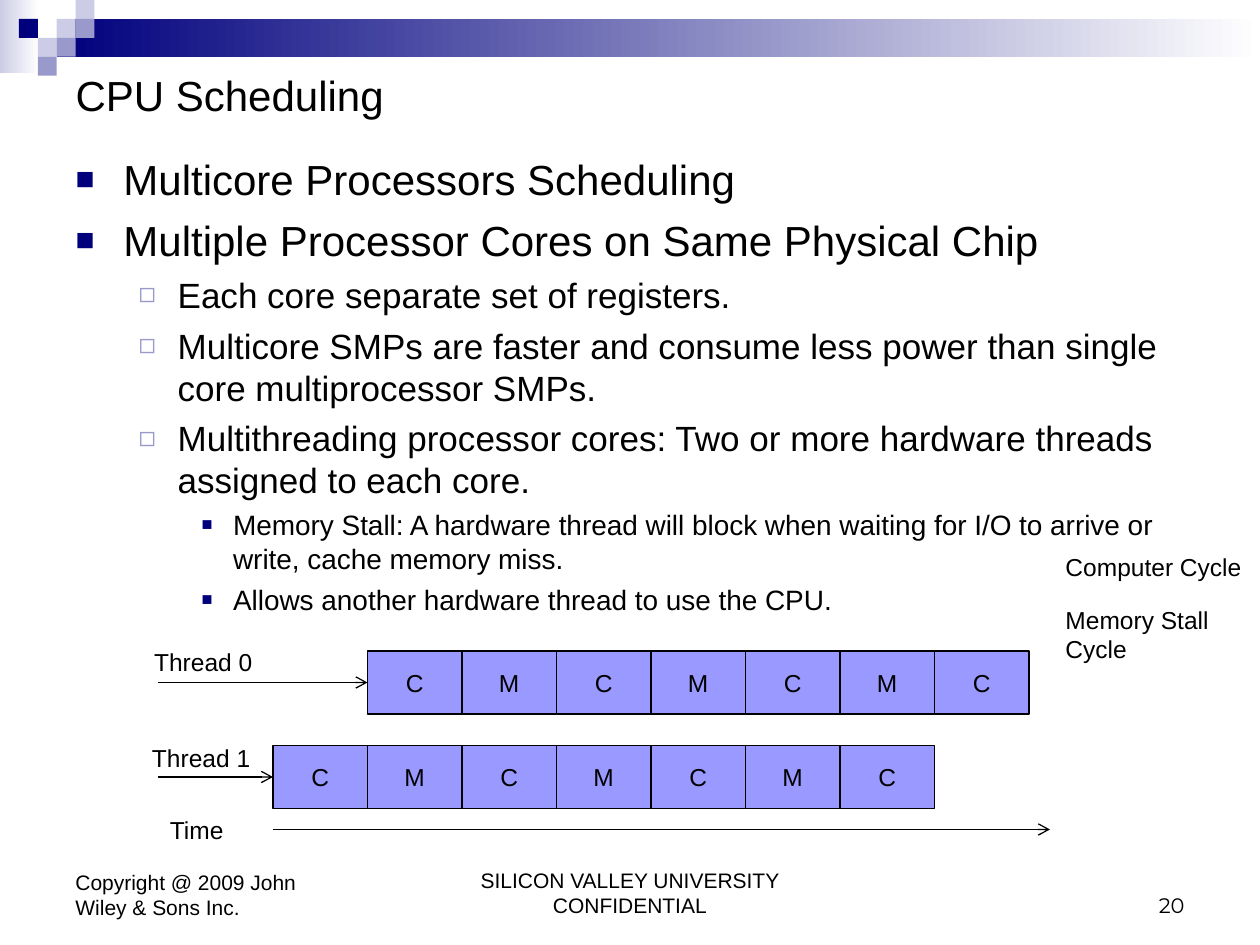
import pptx
import pptx.util
import pptx.dml.color
import pptx.enum.shapes
import pptx.enum.text
import pptx.oxml
import pptx.oxml.ns

# Content
TITLE = "CPU Scheduling"
BULLETS = [
    (0, "Multicore Processors Scheduling"),
    (0, "Multiple Processor Cores on Same Physical Chip"),
    (1, "Each core separate set of registers."),
    (1, "Multicore SMPs are faster and consume less power than single core multiprocessor SMPs."),
    (1, "Multithreading processor cores: Two or more hardware threads assigned to each core."),
    (2, "Memory Stall: A hardware thread will block when waiting for I/O to arrive or write, "
        "cache memory miss."),
    (2, "Allows another hardware thread to use the CPU."),
]
CYCLES = "CMCMCMC"
# name, label column, label row, first cell column, cell row
THREADS = [("Thread 0", 13.5, 61, 35, 62), ("Thread 1", 13.3, 70.2, 26, 71)]
LEGEND = [("Computer Cycle", 52, 4), ("Memory Stall Cycle", 57, 6)]  # text, row, rows
# text, column, row, columns, rows, alignment, font
FOOTERS = [
    ("Copyright @ 2009 John Wiley & Sons Inc.", 6, 82, 28, 6.2, "left", "Arial"),
    ("SILICON VALLEY UNIVERSITY CONFIDENTIAL", 41, 82, 38, 6, "center", "Arial"),
    ("20", 86, 82, 28, 6, "right", "Montserrat"),
]

# Theme
THEME = {
    "font": "Arial", "text": "000000", "cell": "9999FF", "navy": "00007D",
    "mid": "9999CC", "pale": "CCCCE6", "white": "FFFFFF",
    "title": 24, "label": 14, "footer": 12, "line": 0.75,
    # size, space before, left margin, indent, bullet, bullet colour, bullet percent
    "levels": [(24, 6, 0.38, 0.38, "■", "navy", 75),
               (20, 5, 0.81, 0.31, "◻", "mid", 80),
               (16, 4, 1.25, 0.25, "■", "navy", 65)],
}
ALIGN = {"left": pptx.enum.text.PP_ALIGN.LEFT, "center": pptx.enum.text.PP_ALIGN.CENTER,
         "right": pptx.enum.text.PP_ALIGN.RIGHT}
ANCHOR = {"top": pptx.enum.text.MSO_ANCHOR.TOP, "middle": pptx.enum.text.MSO_ANCHOR.MIDDLE,
          "bottom": pptx.enum.text.MSO_ANCHOR.BOTTOM}

# The slide is a grid of 120 columns by 90 rows
prs = pptx.Presentation()
prs.slide_width, prs.slide_height = pptx.util.Inches(10), pptx.util.Inches(7.5)
UNIT = prs.slide_width / 120
CELL_W, CELL_H = 9, 6
ARROW_LEFT, TIME_ROW, TIME_END = 15, 79, 100
s = prs.slides.add_slide(prs.slide_layouts[1])


def grid(*values):
    return [round(v * UNIT) for v in values]


def color(name):
    return pptx.dml.color.RGBColor.from_string(THEME[name])


def write(p, text, size, font=None, align="left"):
    p.alignment = ALIGN[align]
    r = p.add_run()
    r.text = text
    r.font.size = pptx.util.Pt(size)
    r.font.name = font or THEME["font"]
    r.font.color.rgb = color("text")


def frame(sp, anchor="top"):
    tf = sp.text_frame
    tf.word_wrap = True
    tf.auto_size = pptx.enum.text.MSO_AUTO_SIZE.NONE
    tf.vertical_anchor = ANCHOR[anchor]
    return tf


def text_box(text, *box, size=THEME["label"], font=None, align="left", anchor="top"):
    sp = s.shapes.add_textbox(*grid(*box))
    write(frame(sp, anchor).paragraphs[0], text, size, font, align)


def rect(*box, fill, fade=False, line=False):
    sp = s.shapes.add_shape(pptx.enum.shapes.MSO_SHAPE.RECTANGLE, *grid(*box))
    sp.shadow.inherit = False
    if fade:
        sp.fill.gradient()
        sp.fill.gradient_angle = 0
        for stop, name in zip(sp.fill.gradient_stops, (fill, "white")):
            stop.color.rgb = color(name)
    else:
        sp.fill.solid()
        sp.fill.fore_color.rgb = color(fill)
    if line:
        sp.line.color.rgb = color("text")
        sp.line.width = pptx.util.Pt(THEME["line"])
    else:
        sp.line.fill.background()
    return sp


def add_xml(parent, tag, **attrs):
    el = pptx.oxml.parse_xml(f"<a:{tag} {pptx.oxml.ns.nsdecls('a')}/>")
    for key, value in attrs.items():
        el.set(key, str(value))
    parent.append(el)
    return el


def arrow(x1, x2, y):
    sp = s.shapes.add_connector(pptx.enum.shapes.MSO_CONNECTOR.STRAIGHT, *grid(x1, y, x2, y))
    sp.line.color.rgb = color("text")
    sp.line.width = pptx.util.Pt(THEME["line"])
    add_xml(sp.line._get_or_add_ln(), "tailEnd", type="arrow")
    add_xml(sp._element.spPr, "effectLst")


def place(sp, *box):
    sp.left, sp.top, sp.width, sp.height = grid(*box)


# Corner decoration on its own small squares
SQ = 1.8
rect(0, 0, 3.7, 7, fill="pale", fade=True)
rect(3 * SQ, SQ, 120 - 3 * SQ, 2 * SQ, fill="navy", fade=True)
for name, squares in {"pale": [(3, 1), (4, 0), (2, 2)], "mid": [(4, 1), (3, 2), (2, 3)],
                      "navy": [(1, 1)]}.items():
    for col, row in squares:
        rect(col * SQ, row * SQ, SQ, SQ, fill=name)

# Title
title = s.shapes.title
place(title, 6, 6, 108, 6)
write(frame(title, "middle").paragraphs[0], TITLE, THEME["title"])

# Bulleted list
body = s.placeholders[1]
place(body, 6, 14, 108, 69)
tf = frame(body)
for i, (level, text) in enumerate(BULLETS):
    size, before, margin, indent, char, bullet_color, percent = THEME["levels"][level]
    p = tf.add_paragraph() if i else tf.paragraphs[0]
    p.level = level
    pPr = p._p.get_or_add_pPr()
    pPr.set("marL", str(pptx.util.Inches(margin)))
    pPr.set("indent", str(-pptx.util.Inches(indent)))
    add_xml(add_xml(pPr, "buClr"), "srgbClr", val=THEME[bullet_color])
    add_xml(pPr, "buSzPct", val=percent * 1000)
    add_xml(pPr, "buFont", typeface=THEME["font"])
    add_xml(pPr, "buChar", char=char)
    p.space_before = pptx.util.Pt(before if i else 0)
    write(p, text, size)

# Thread timelines
for name, label_col, label_row, start, row in THREADS:
    for i, cycle in enumerate(CYCLES):
        sp = rect(start + i * CELL_W, row, CELL_W, CELL_H, fill="cell", line=True)
        write(frame(sp, "middle").paragraphs[0], cycle, THEME["label"], align="center")
    arrow(ARROW_LEFT, start, row + CELL_H / 2)
    text_box(name, label_col, label_row, 12, 4)

# Time axis
arrow(THREADS[1][3], TIME_END, TIME_ROW)
text_box("Time", ARROW_LEFT, TIME_ROW - 2, 12, 4)

# Legend and footers
for text, row, rows in LEGEND:
    text_box(text, 100.3, row, 19.7, rows)
for text, col, row, cols, rows, align, font in FOOTERS:
    text_box(text, col, row, cols, rows, size=THEME["footer"], font=font,
             align=align, anchor="bottom")

prs.save("out.pptx")
